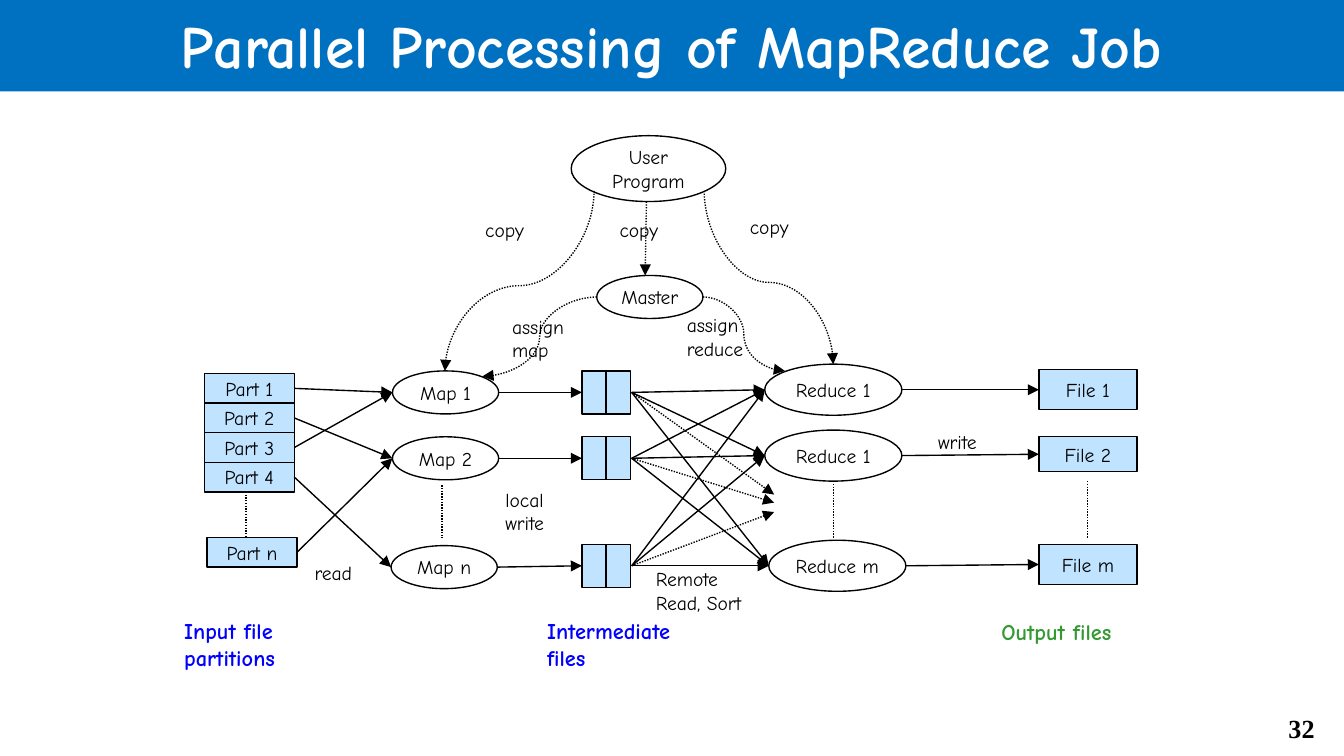
from lxml.etree import SubElement
from pptx import Presentation
from pptx.dml.color import RGBColor
from pptx.enum.dml import MSO_LINE
from pptx.enum.shapes import MSO_CONNECTOR as CONNECTOR, MSO_SHAPE as SHAPE
from pptx.enum.text import MSO_ANCHOR as ANCHOR, MSO_AUTO_SIZE as AUTO_SIZE, PP_ALIGN as ALIGN
from pptx.oxml.ns import qn
from pptx.util import Emu, Pt

SCALE = 9144  # EMU in one px, 100 px to the inch
FONT = "Comic Neue"
BLACK = RGBColor(0, 0, 0)
WHITE = RGBColor(255, 255, 255)
BANNER = RGBColor(0x00, 0x70, 0xC0)
FILE_BLUE = RGBColor(0x83, 0xCA, 0xFF)
INPUT_BLUE = RGBColor(0, 0, 255)
OUTPUT_GREEN = RGBColor(0x33, 0x99, 0x33)

ROWS = (292, 341, 421)  # centre lines of the three processing rows
PART_TOPS = (278, 300, 322, 344)
PART_HEIGHT = 22
BUFFER_LEFT, BUFFER_CELL, BUFFER_HEIGHT = 433, 18, 32
BUFFER_EXIT = 470
MAP_PORTS = ((292, 292), (292, 341), (291, 422))
MAP_SIZE = (79, 32)
REDUCE_PORTS = ((569, 290), (569, 339), (572, 421))
REDUCE_SIZE = (102, 38)
FILES = (("File 1", 275, 30), ("File 2", 325, 26), ("File m", 405, 30))
FILE_LEFT, FILE_WIDTH = 773, 73
ELLIPSIS_TIPS = ((576, 368), (576, 374), (576, 381))


def px(*values):
    return [Emu(round(value * SCALE)) for value in values]


def write(text_frame, text, size=10.5, color=BLACK, bold=False, align=ALIGN.LEFT, font=FONT):
    text_frame.text = text
    for paragraph in text_frame.paragraphs:
        paragraph.alignment = align
        for run in paragraph.runs:
            run.font.name = font
            run.font.size = Pt(size)
            run.font.bold = bold
            run.font.color.rgb = color


def set_insets(text_frame):
    text_frame.margin_left, text_frame.margin_top = px(7, 4)
    text_frame.margin_right, text_frame.margin_bottom = px(7, 4)


def add_node(slide, kind, box, text=""):
    """Add an outlined shape with centred text; rectangles get the half-clear file blue."""
    shape = slide.shapes.add_shape(kind, *px(*box))
    shape.shadow.inherit = False
    shape.line.color.rgb = BLACK
    shape.line.width = Pt(0.75)
    if kind == SHAPE.RECTANGLE:
        shape.fill.solid()
        shape.fill.fore_color.rgb = FILE_BLUE
        color = shape.fill._xPr.find(f"{qn('a:solidFill')}/{qn('a:srgbClr')}")
        SubElement(color, qn("a:alpha"), val="50000")
    else:
        shape.fill.background()
    text_frame = shape.text_frame
    set_insets(text_frame)
    text_frame.word_wrap = False
    text_frame.vertical_anchor = ANCHOR.MIDDLE
    if text:
        write(text_frame, text, align=ALIGN.CENTER)


def add_label(slide, box, text, **style):
    text_frame = slide.shapes.add_textbox(*px(*box)).text_frame
    set_insets(text_frame)
    text_frame.word_wrap = True
    text_frame.auto_size = AUTO_SIZE.SHAPE_TO_FIT_TEXT
    write(text_frame, text, **style)


def add_line(slide, start, end, dotted=False, arrow=True, kind=CONNECTOR.STRAIGHT):
    connector = slide.shapes.add_connector(kind, *px(*start, *end))
    connector.line.color.rgb = BLACK
    connector.line.width = Pt(0.75)
    if dotted:
        connector.line.dash_style = MSO_LINE.ROUND_DOT
    if arrow:
        SubElement(connector.line._get_or_add_ln(), qn("a:tailEnd"), type="triangle")
    SubElement(connector._element.spPr, qn("a:effectLst"))
    return connector


def add_drop_curve(slide, start, end, bend):
    """Add a dotted curve that leaves and arrives vertically, as a quarter-turned connector."""
    (x1, y1), (x2, y2) = start, end
    center_x, center_y = (x1 + x2) / 2, (y1 + y2) / 2
    reach, spread = (y2 - y1) / 2, (x1 - x2) / 2
    connector = add_line(slide, (center_x - reach, center_y - spread),
                         (center_x + reach, center_y + spread), True, kind=CONNECTOR.CURVE)
    properties = connector._element.spPr
    properties.find(qn("a:xfrm")).set("rot", "5400000")
    adjustments = properties.find(f"{qn('a:prstGeom')}/{qn('a:avLst')}")
    SubElement(adjustments, qn("a:gd"), name="adj1", fmla=f"val {bend}")


def add_title(slide, text):
    title = slide.shapes.title
    title.left, title.top, title.width, title.height = px(0, -2, 1000, 70)
    title.fill.solid()
    title.fill.fore_color.rgb = BANNER
    title.text_frame.vertical_anchor = ANCHOR.MIDDLE
    write(title.text_frame, text, 32, WHITE, True, ALIGN.CENTER)


def add_nodes(slide):
    add_node(slide, SHAPE.OVAL, (425, 101, 115, 49), "User\nProgram")
    add_node(slide, SHAPE.OVAL, (444, 205, 79, 32), "Master")
    stages = ((MAP_PORTS, MAP_SIZE, ("Map 1", "Map 2", "Map n")),
              (REDUCE_PORTS, REDUCE_SIZE, ("Reduce 1", "Reduce 1", "Reduce m")))
    for ports, (width, height), names in stages:
        for (left, center), name in zip(ports, names):
            add_node(slide, SHAPE.OVAL, (left, center - height / 2, width, height), name)
    for number, top in enumerate(PART_TOPS, 1):
        add_node(slide, SHAPE.RECTANGLE, (152, top, 67, PART_HEIGHT), f"Part {number}")
    add_node(slide, SHAPE.RECTANGLE, (154, 400, 67, PART_HEIGHT), "Part n")
    for center in ROWS:
        for cell in range(2):
            add_node(slide, SHAPE.RECTANGLE,
                     (BUFFER_LEFT + cell * BUFFER_CELL, center - BUFFER_HEIGHT / 2,
                      BUFFER_CELL, BUFFER_HEIGHT))
    for name, top, height in FILES:
        add_node(slide, SHAPE.RECTANGLE, (FILE_LEFT, top, FILE_WIDTH, height), name)


def add_flows(slide):
    for top, map_index in zip(PART_TOPS, (0, 1, 0, 2)):
        add_line(slide, (219, top + PART_HEIGHT / 2), MAP_PORTS[map_index])
    add_line(slide, (221, 411), MAP_PORTS[1])
    for row, (left, center), tip in zip(ROWS, MAP_PORTS, ELLIPSIS_TIPS):
        add_line(slide, (left + MAP_SIZE[0], center), (BUFFER_LEFT, row))
        for port in REDUCE_PORTS:
            add_line(slide, (BUFFER_EXIT, row), port)
        add_line(slide, (BUFFER_EXIT, row), tip, dotted=True)
    for (left, center), (_, top, height) in zip(REDUCE_PORTS, FILES):
        add_line(slide, (left + REDUCE_SIZE[0], center), (FILE_LEFT, top + height / 2))
    for x, top in ((183, 368), (329, 361), (620, 358), (809, 358)):
        add_line(slide, (x, top), (x, 400), dotted=True, arrow=False)


def add_control(slide):
    add_line(slide, (481, 150), (480, 205), dotted=True)
    add_drop_curve(slide, (442, 142), (331, 276), 52700)
    add_drop_curve(slide, (524, 142), (620, 271), 52800)
    add_line(slide, (444, 221), (359, 280), True, kind=CONNECTOR.CURVE)
    add_line(slide, (523, 221), (584, 276), True, kind=CONNECTOR.CURVE)


def add_labels(slide):
    for left, top in ((354, 158), (454, 158), (551, 156)):
        add_label(slide, (left, top, 60, 25), "copy")
    add_label(slide, (374, 230, 75, 43), "assign\nmap")
    add_label(slide, (504, 229, 96, 43), "assign\nreduce")
    add_label(slide, (227, 413, 58, 25), "read")
    add_label(slide, (369, 359, 63, 43), "local\nwrite")
    add_label(slide, (481, 418, 113, 43), "Remote\nRead, Sort")
    add_label(slide, (691, 316, 63, 25), "write")
    captions = (((130, 455, 111, 48), "Input file\npartitions", INPUT_BLUE),
                ((400, 455, 139, 48), "Intermediate\nfiles", INPUT_BLUE),
                ((738, 456, 132, 28), "Output files", OUTPUT_GREEN))
    for box, text, color in captions:
        add_label(slide, box, text, size=12, color=color, bold=True)


def add_page_number(slide, number):
    text_frame = slide.shapes.add_textbox(*px(925, 525, 63, 34)).text_frame
    text_frame.word_wrap = True
    write(text_frame, number, 14, bold=True, align=ALIGN.RIGHT, font="Times New Roman")


def main():
    presentation = Presentation()
    presentation.slide_width, = px(1000)
    presentation.slide_height = presentation.slide_width * 9 // 16
    slide = presentation.slides.add_slide(presentation.slide_layouts[5])
    add_title(slide, "Parallel Processing of MapReduce Job")
    add_nodes(slide)
    add_flows(slide)
    add_control(slide)
    add_labels(slide)
    add_page_number(slide, "32")
    presentation.save("out.pptx")


if __name__ == "__main__":
    main()
